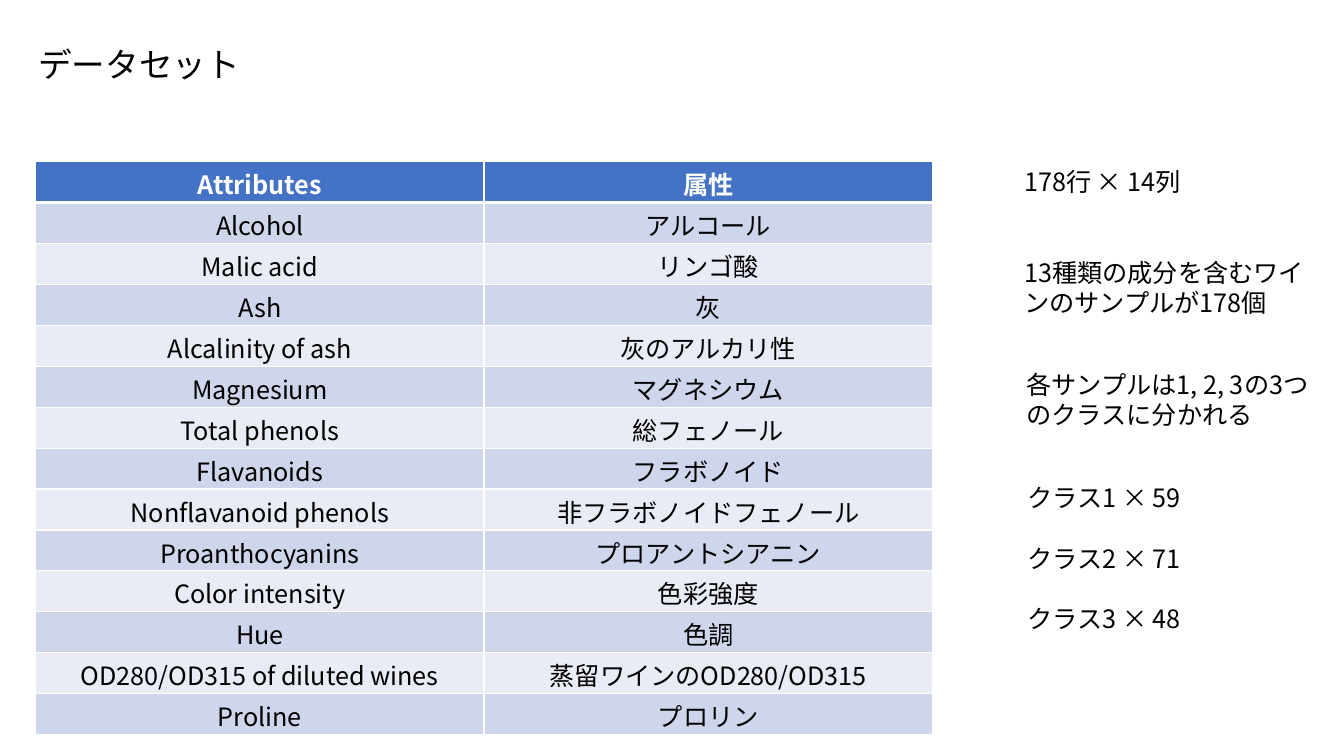
from lxml import etree
from pptx import Presentation
from pptx import util as u
from pptx.dml.color import RGBColor
from pptx.enum import text
from pptx.oxml.ns import qn

PX = 9525
THEME = {
    "font": "Noto Sans CJK JP",
    "title": 24,
    "body": 18,
    "line": 1.2,
    "black": "000000",
    "white": "FFFFFF",
    "header": "4472C4",
    "bands": ("CFD5EA", "E9EBF5"),
}


def write(paragraph, words, size, color=THEME["black"], bold=False):
    """Add one run in the theme font, with a fixed line height."""
    paragraph.line_spacing = u.Pt(size * THEME["line"])
    run = paragraph.add_run()
    run.text = words
    font = run.font
    font.name, font.size, font.bold = THEME["font"], u.Pt(size), bold
    font.color.rgb = RGBColor.from_string(color)
    east_asian = etree.SubElement(font._element, qn("a:ea"))
    east_asian.set("typeface", THEME["font"])


def add_borders(cell, bottom_width):
    """Draw white cell edges; must run before the cell is filled."""
    properties = cell._tc.get_or_add_tcPr()
    for side, width in (("L", 1), ("R", 1), ("T", 1), ("B", bottom_width)):
        line = etree.SubElement(properties, qn(f"a:ln{side}"), w=str(u.Pt(width)))
        fill = etree.SubElement(line, qn("a:solidFill"))
        etree.SubElement(fill, qn("a:srgbClr"), val=THEME["white"])


presentation = Presentation()
presentation.slide_width = 1280 * PX
presentation.slide_height = 720 * PX
slide = presentation.slides.add_slide(presentation.slide_layouts[6])

# Attribute table
attributes = [
    ("Attributes", "属性"),
    ("Alcohol", "アルコール"),
    ("Malic acid", "リンゴ酸"),
    ("Ash", "灰"),
    ("Alcalinity of ash", "灰のアルカリ性"),
    ("Magnesium", "マグネシウム"),
    ("Total phenols", "総フェノール"),
    ("Flavanoids", "フラボノイド"),
    ("Nonflavanoid phenols", "非フラボノイドフェノール"),
    ("Proanthocyanins", "プロアントシアニン"),
    ("Color intensity", "色彩強度"),
    ("Hue", "色調"),
    ("OD280/OD315 of diluted wines", "蒸留ワインのOD280/OD315"),
    ("Proline", "プロリン"),
]
table = slide.shapes.add_table(
    len(attributes), 2, 34 * PX, 154 * PX, 854 * PX, 39 * len(attributes) * PX
).table
for row_index, names in enumerate(attributes):
    is_header = row_index == 0
    fill_color = THEME["header"] if is_header else THEME["bands"][(row_index - 1) % 2]
    text_color = THEME["white"] if is_header else THEME["black"]
    for column_index, name in enumerate(names):
        cell = table.cell(row_index, column_index)
        add_borders(cell, 3 if is_header else 1)
        cell.fill.solid()
        cell.fill.fore_color.rgb = RGBColor.from_string(fill_color)
        cell.vertical_anchor = text.MSO_ANCHOR.MIDDLE
        cell.margin_top, cell.margin_bottom = 9 * PX, 0
        paragraph = cell.text_frame.paragraphs[0]
        paragraph.alignment = text.PP_ALIGN.CENTER
        write(paragraph, name, THEME["body"], text_color, is_header)

# Title and notes on the data: box in px, type size, paragraphs
text_boxes = [
    ((27, 37, 213, 48), THEME["title"], ["データセット"]),
    ((966, 154, 170, 68), THEME["body"], ["178行 × 14列"]),
    ((966, 240, 295, 68), THEME["body"], ["13種類の成分を含むワインのサンプルが178個"]),
    ((968, 347, 295, 68), THEME["body"], ["各サンプルは1, 2, 3の3つのクラスに分かれる"]),
    ((969, 455, 195, 156), THEME["body"], ["クラス1 × 59", "クラス2 × 71", "クラス3 × 48"]),
]
for box, size, lines in text_boxes:
    frame = slide.shapes.add_textbox(*(length * PX for length in box)).text_frame
    frame.word_wrap = size != THEME["title"]
    for line_index, words in enumerate(lines):
        paragraph = frame.add_paragraph() if line_index else frame.paragraphs[0]
        if line_index:
            paragraph.space_before = u.Pt(size * THEME["line"])
        write(paragraph, words, size)

presentation.save("out.pptx")
